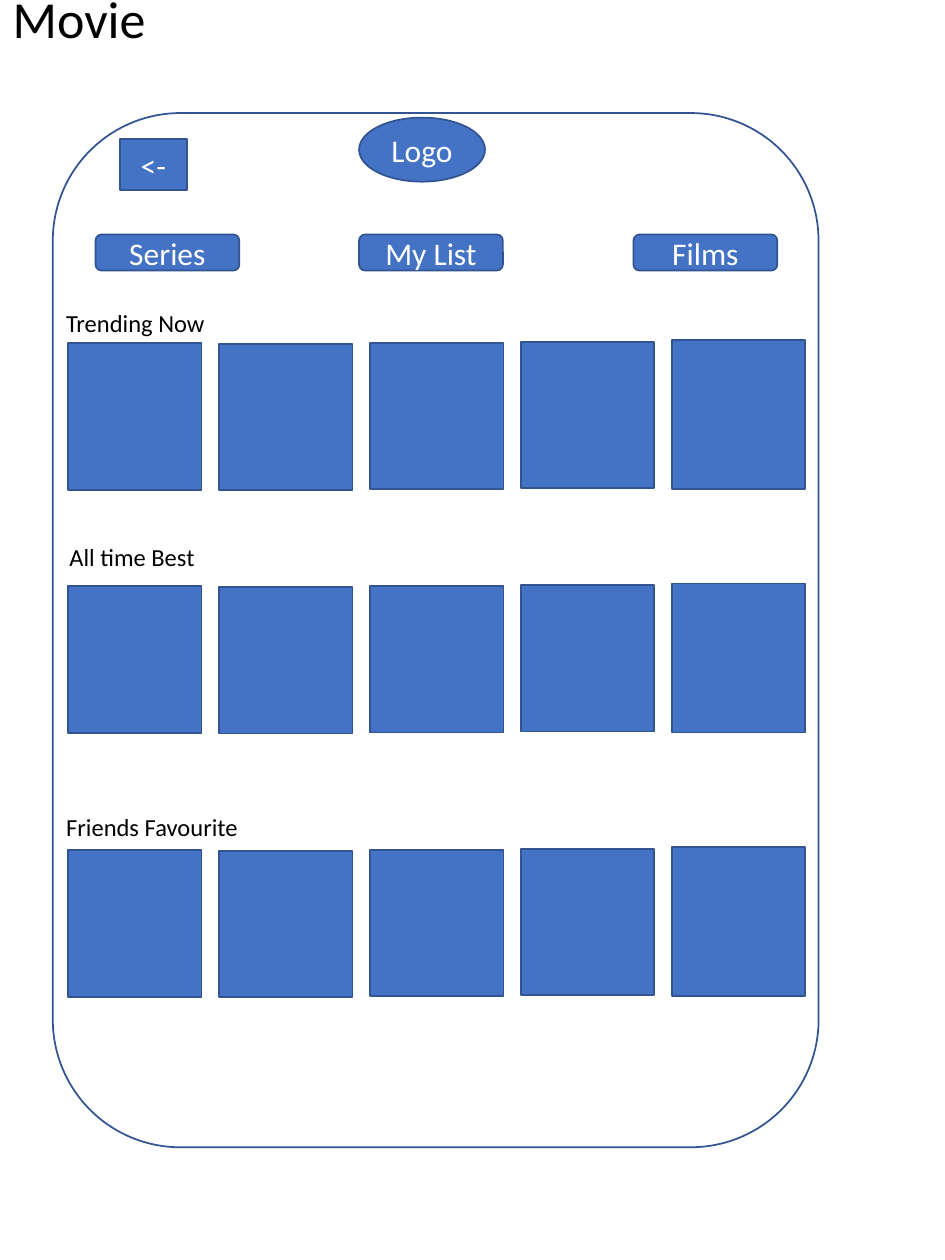
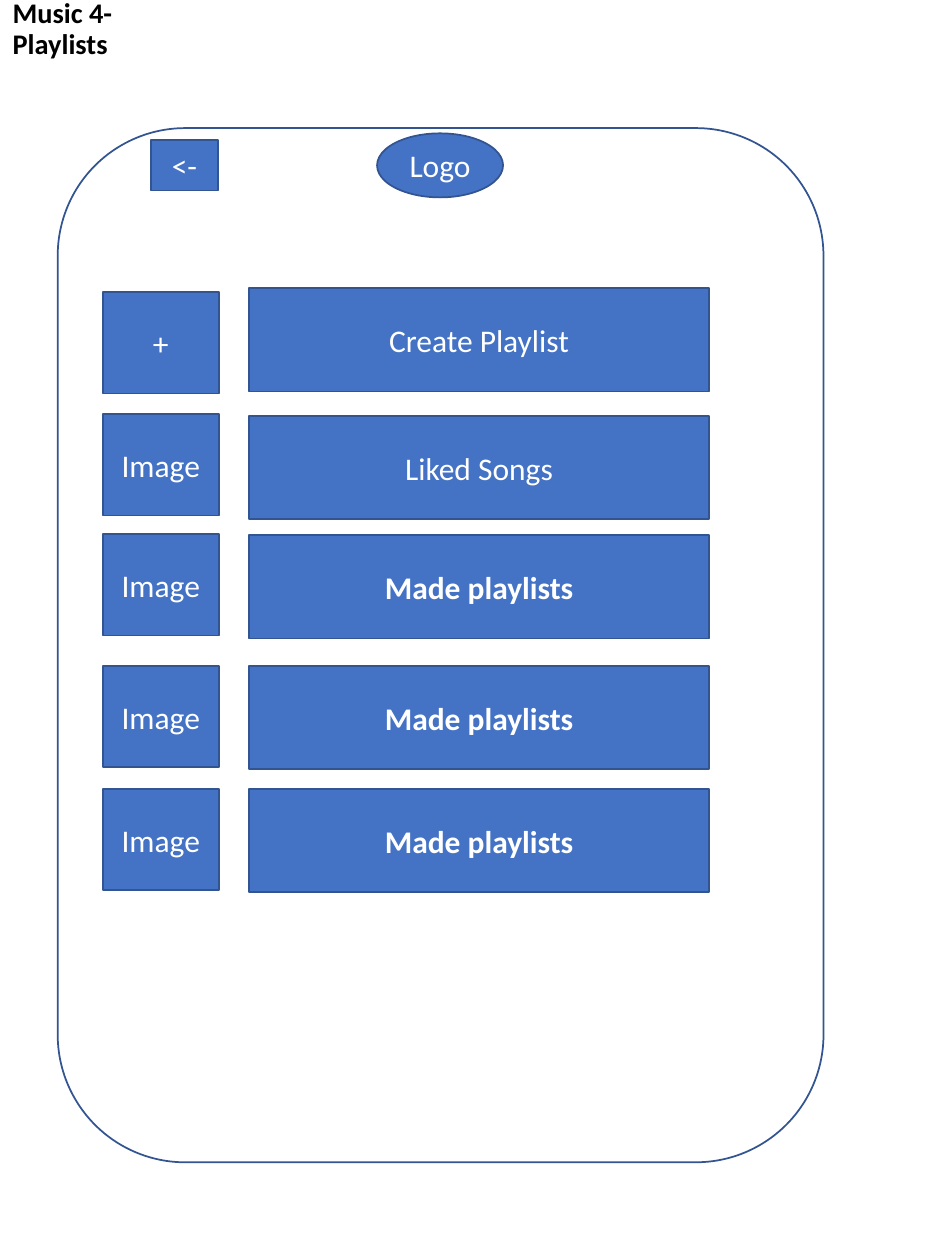
from pptx import Presentation
from pptx.dml.color import RGBColor
from pptx.enum.shapes import MSO_SHAPE
from pptx.enum.text import MSO_ANCHOR, PP_ALIGN
from pptx.util import Pt

RECT, ROUNDED, OVAL = MSO_SHAPE.RECTANGLE, MSO_SHAPE.ROUNDED_RECTANGLE, MSO_SHAPE.OVAL
MIDDLE = MSO_ANCHOR.MIDDLE
LEFT, CENTER = PP_ALIGN.LEFT, PP_ALIGN.CENTER

COLORS = {"block": "4472C4", "outline": "325491", "paper": "FFFFFF", "ink": "000000"}
FONT = "Calibri"
TITLE_ONLY = 5


def write(frame, text, size, color, align=LEFT, bold=False):
    frame.text = text
    paragraph = frame.paragraphs[0]
    paragraph.alignment = align
    paragraph.font.name = FONT
    paragraph.font.size = Pt(size)
    paragraph.font.bold = bold
    paragraph.font.color.rgb = RGBColor.from_string(COLORS[color])
    return paragraph


def add_block(slide, kind, left, top, width, height, text="", fill="block", bold=False):
    block = slide.shapes.add_shape(kind, Pt(left), Pt(top), Pt(width), Pt(height))
    block.shadow.inherit = False
    block.fill.solid()
    block.fill.fore_color.rgb = RGBColor.from_string(COLORS[fill])
    block.line.color.rgb = RGBColor.from_string(COLORS["outline"])
    block.line.width = Pt(1)
    if text:
        block.text_frame.word_wrap = False
        block.text_frame.vertical_anchor = MIDDLE
        write(block.text_frame, text, 18, "paper", CENTER, bold)


prs = Presentation()
prs.slide_width, prs.slide_height = Pt(540), Pt(720)

# Shared by both screens: title, device frame, logo spot and back button
screens = [
    # title, size, bold, title box (w, h), frame, logo, back button (left, top)
    ("Movie", 29.7, False, (121, 23.8), (30.2, 64.6), (205.2, 67.2), (68.4, 79.6)),
    ("Music 4- Playlists", 16.2, True, (124.6, 32.4), (33, 73.2), (215.5, 76.2), (86.2, 79.9)),
]
slides = []
for title_text, size, bold, title_box, frame, logo, back in screens:
    slide = prs.slides.add_slide(prs.slide_layouts[TITLE_ONLY])
    title = slide.shapes.title
    title.left, title.top = Pt(0), Pt(0.7)
    title.width, title.height = Pt(title_box[0]), Pt(title_box[1])
    title.text_frame.word_wrap = True
    title.text_frame.vertical_anchor = MIDDLE
    write(title.text_frame, title_text, size, "ink", bold=bold).line_spacing = 0.9
    add_block(slide, ROUNDED, *frame, 437.6, 591, fill="paper")
    add_block(slide, OVAL, *logo, 72, 36.6, "Logo")
    add_block(slide, RECT, *back, 38.4, 29, "<-")
    slides.append(slide)
movie, playlists = slides

# Movie: navigation tabs
for left, tab in [(54.6, "Series"), (205.2, "My List"), (362, "Films")]:
    add_block(movie, ROUNDED, left, 134, 82.2, 20.6, tab)

# Movie: headed rows of posters, each poster nudged slightly up or down
poster_nudges = [0, 0.6, 0, -0.6, -1.6]
poster_heights = [84, 83.6, 83.6, 83.6, 85.2]
poster_rows = [
    # heading, left, top, width, top of posters
    ("Trending Now", 30.7, 172.2, 98.6, 196),
    ("All time Best", 32.6, 306, 98.6, 335),
    ("Friends Favourite", 30.7, 460.2, 113.8, 485.6),
]
for heading, left, top, width, poster_top in poster_rows:
    heading_box = movie.shapes.add_textbox(Pt(left), Pt(top), Pt(width), Pt(24.2))
    heading_box.text_frame.word_wrap = False
    write(heading_box.text_frame, heading, 14, "ink")
    for column, (nudge, height) in enumerate(zip(poster_nudges, poster_heights)):
        add_block(movie, RECT, 38.8 + 86.25 * column, poster_top + nudge, 76.4, height)

# Playlists: thumbnail and name on each line
playlist_lines = [
    # thumbnail, its top, name, its top, bold
    ("+", 167, "Create Playlist", 164.6, False),
    ("Image", 236.6, "Liked Songs", 237.6, False),
    ("Image", 305.2, "Made playlists", 305.8, True),
    ("Image", 380.4, "Made playlists", 380.4, True),
    ("Image", 450.8, "Made playlists", 450.8, True),
]
for thumbnail, thumbnail_top, name, name_top, bold in playlist_lines:
    add_block(playlists, RECT, 58.8, thumbnail_top, 66.2, 58, thumbnail)
    add_block(playlists, RECT, 142.3, name_top, 263, 59.2, name, bold=bold)

prs.save("out.pptx")
